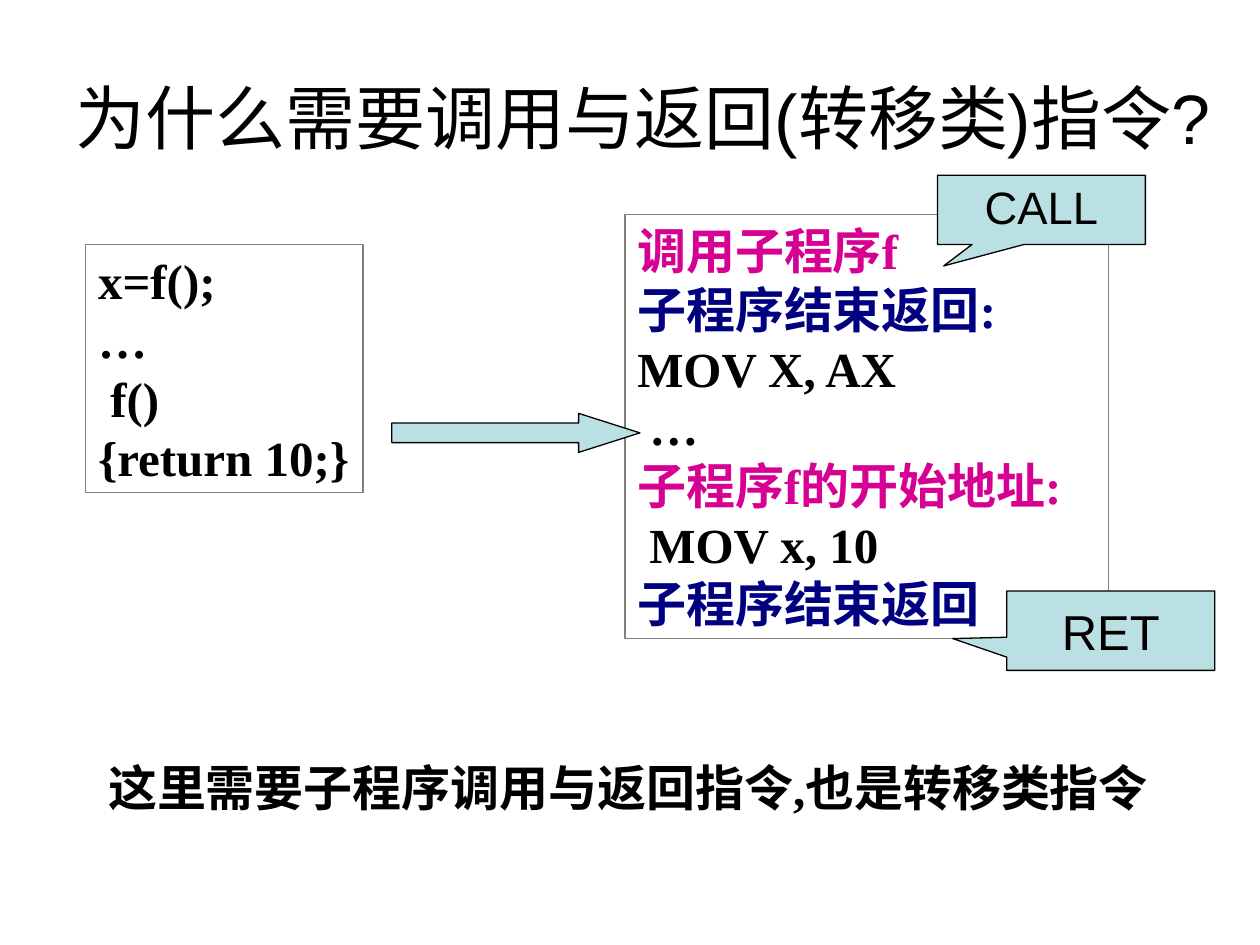
"""Build a slide on why call and return instructions are needed."""
from typing import NamedTuple, Optional

from pptx import Presentation
from pptx.dml.color import RGBColor
from pptx.enum.shapes import MSO_SHAPE as SHAPE
from pptx.enum.text import MSO_ANCHOR as ANCHOR, MSO_AUTO_SIZE as AUTO, PP_ALIGN as ALIGN
from pptx.util import Pt

COLORS = {
    "text": "000000",
    "call": "D60093",
    "return": "000080",
    "border": "808080",
    "fill": "BBE0E3",
}
SERIF, SANS = "Times New Roman", "Arial"


class Box(NamedTuple):
    left: float
    top: float
    width: float
    height: float


class Line(NamedTuple):
    text: str
    color: str = "text"


class TextBlock(NamedTuple):
    box: Box
    lines: list[Line]
    border: Optional[str] = None


class Block(NamedTuple):
    kind: SHAPE
    box: Box
    adjustments: tuple[float, float]
    label: str = ""
    size: float = 28
    spacing: float = 1.0


TEXT_BLOCKS = [
    TextBlock(
        Box(49, 139.7, 158.4, 141.8),
        [Line("x=f();"), Line("…"), Line(" f()"), Line("{return 10;}")],
        "border",
    ),
    TextBlock(
        Box(357.1, 122.4, 276.5, 242.6),
        [
            Line("调用子程序f", "call"),
            Line("子程序结束返回:", "return"),
            Line("MOV X, AX"),
            Line(" …"),
            Line("子程序f的开始地址:", "call"),
            Line(" MOV x, 10"),
            Line("子程序结束返回", "return"),
        ],
        "border",
    ),
    TextBlock(Box(54.7, 429.1, 622.1, 41), [Line("这里需要子程序调用与返回指令,也是转移类指令")]),
]
BLOCKS = [
    Block(SHAPE.RIGHT_ARROW, Box(223.9, 236.2, 141.8, 22.3), (0.5, 1.57)),
    Block(SHAPE.RECTANGULAR_CALLOUT, Box(535.7, 100.1, 118.8, 39.6), (-0.47, 0.81), "CALL", 25.9, 0.9),
    Block(SHAPE.RECTANGULAR_CALLOUT, Box(575.3, 337.7, 118.8, 45.4), (-0.76, 0.1), "RET"),
]


def rgb(name: str) -> RGBColor:
    """Return a palette colour."""
    return RGBColor.from_string(COLORS[name])


def place(box: Box) -> list[Pt]:
    """Return the box in slide units."""
    return [Pt(v) for v in box]


def add_run(p, text: str, font: str, size: float, color: str = "text", bold: bool = False) -> None:
    """Append a formatted run to a paragraph."""
    r = p.add_run()
    r.text = text
    r.font.name, r.font.size, r.font.bold = font, Pt(size), bold
    r.font.color.rgb = rgb(color)


def add_title(s, text: str) -> None:
    """Fill and format the title placeholder."""
    sp = s.shapes.title
    sp.left, sp.top, sp.width, sp.height = place(Box(36, 21.6, 648, 90))
    tf = sp.text_frame
    tf.auto_size, tf.vertical_anchor = AUTO.NONE, ANCHOR.MIDDLE
    p = tf.paragraphs[0]
    p.alignment = ALIGN.LEFT
    add_run(p, text, SANS, 40)


def add_text_block(s, block: TextBlock) -> None:
    """Add a bold unwrapped text box with an optional border."""
    sp = s.shapes.add_textbox(*place(block.box))
    if block.border:
        sp.line.color.rgb = rgb(block.border)
        sp.line.width = Pt(0.75)
    tf = sp.text_frame
    tf.word_wrap, tf.auto_size = False, AUTO.SHAPE_TO_FIT_TEXT
    for i, line in enumerate(block.lines):
        p = tf.add_paragraph() if i else tf.paragraphs[0]
        add_run(p, line.text, SERIF, 28, line.color, True)


def add_block(s, block: Block) -> None:
    """Add a filled preset shape with an optional label."""
    sp = s.shapes.add_shape(block.kind, *place(block.box))
    for i, value in enumerate(block.adjustments):
        sp.adjustments[i] = value
    sp.shadow.inherit = False
    sp.fill.solid()
    sp.fill.fore_color.rgb = rgb("fill")
    sp.line.color.rgb = rgb("text")
    sp.line.width = Pt(0.75)
    if block.label:
        tf = sp.text_frame
        tf.word_wrap, tf.vertical_anchor = True, ANCHOR.MIDDLE
        p = tf.paragraphs[0]
        p.alignment, p.line_spacing = ALIGN.CENTER, block.spacing
        add_run(p, block.label, SANS, block.size)


def main() -> None:
    """Build and save the slide."""
    prs = Presentation()
    prs.slide_width, prs.slide_height = Pt(720), Pt(540)
    s = prs.slides.add_slide(prs.slide_layouts[5])
    add_title(s, "为什么需要调用与返回(转移类)指令?")
    for text_block in TEXT_BLOCKS:
        add_text_block(s, text_block)
    for block in BLOCKS:
        add_block(s, block)
    prs.save("out.pptx")


if __name__ == "__main__":
    main()
